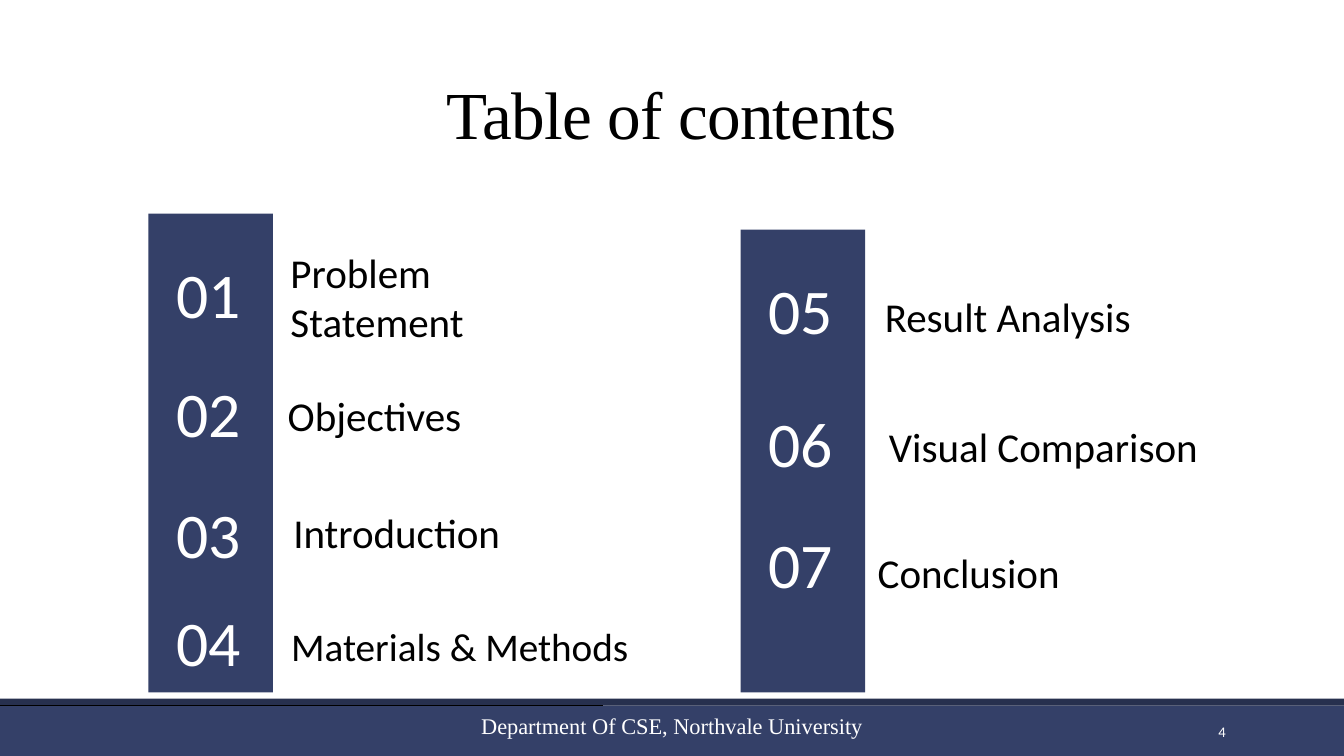
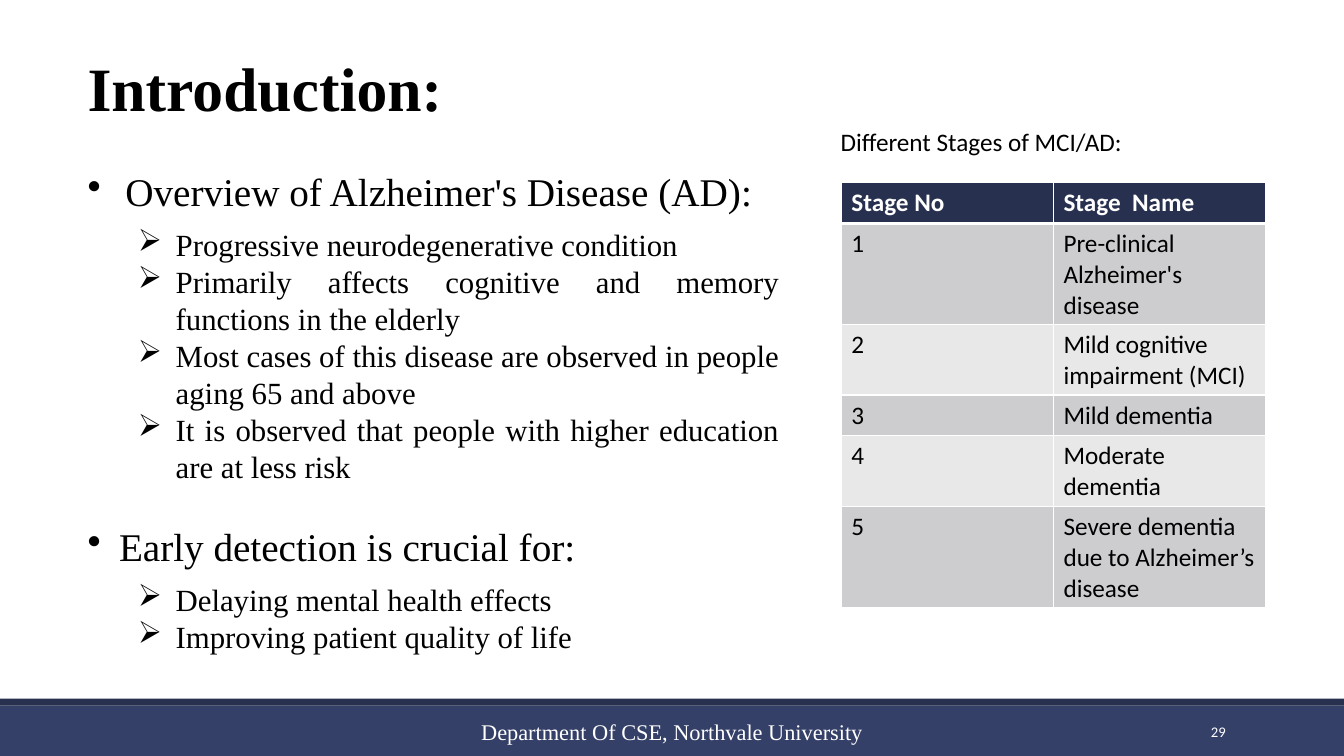
from pptx import Presentation
from pptx.dml.color import RGBColor
from pptx.enum import shapes, text
from pptx.oxml.ns import qn
from pptx.util import Pt
from lxml import etree

HUES = {"navy": "344068", "dark": "27304E", "black": "000000",
        "white": "FFFFFF", "odd": "CDCDD0", "even": "E8E8E9"}
SANS, SERIF = "Calibri", "Times New Roman"
WIDE, HIGH = 960, 540
FOOT = "Department Of CSE, Northvale University"
LEFT, MID, RIGHT, JUST = (text.PP_ALIGN.LEFT, text.PP_ALIGN.CENTER,
                          text.PP_ALIGN.RIGHT, text.PP_ALIGN.JUSTIFY)
TOP, CENTRE, BASE = (text.MSO_ANCHOR.TOP, text.MSO_ANCHOR.MIDDLE,
                     text.MSO_ANCHOR.BOTTOM)

# Number height, label, label left, label bottom, label width, label size.
FIRST = [("01", 60.5, "Problem Statement", 101.5, 94.5, 214, 29.3),
         ("02", 145.5, "Objectives", 99.5, 161.5, 260, 29.3),
         ("03", 232, "Introduction", 103.5, 245.5, 260, 29.3),
         ("04", 309, "Materials & Methods", 102, 325.5, 290, 28)]
SECOND = [("05", 60.5, "Result Analysis", 103, 79.5, 260, 29.3),
          ("06", 155.5, "Visual Comparison", 106, 172, 260, 29.3),
          ("07", 241.5, "Conclusion", 98, 262, 260, 29.3)]
POINTS = [("Overview of Alzheimer's Disease (AD):", 27,
           ["Progressive neurodegenerative condition",
            "Primarily affects cognitive and memory functions in the elderly",
            "Most cases of this disease are observed in people aging 65 and above",
            "It is observed that people with higher education are at less risk"]),
          ("Early detection is crucial for:", 22.5,
           ["Delaying mental health effects",
            "Improving patient quality of life"])]
STAGES = ["Pre-clinical Alzheimer's disease", "Mild cognitive impairment (MCI)",
          "Mild dementia", "Moderate dementia",
          "Severe dementia due to Alzheimer’s disease"]


def hue(name):
    """Return the named colour."""
    return RGBColor.from_string(HUES[name])


def style(para, size, font, color, bold=False):
    """Format all runs of a paragraph."""
    for run in para.runs:
        run.font.size, run.font.name, run.font.bold = Pt(size), font, bold
        run.font.color.rgb = hue(color)


def frame(slide, box, anchor=TOP):
    """Add an empty wrapping text box without margins."""
    area = slide.shapes.add_textbox(*map(Pt, box)).text_frame
    area.word_wrap, area.vertical_anchor = True, anchor
    area.margin_left = area.margin_right = Pt(0)
    area.margin_top = area.margin_bottom = Pt(0)
    return area


def write(slide, box, words, size, font=SANS, color="black",
          align=LEFT, anchor=TOP, bold=False):
    """Add one paragraph of text and return it."""
    para = frame(slide, box, anchor).paragraphs[0]
    para.text, para.alignment = words, align
    style(para, size, font, color, bold)
    return para


def tight(para):
    """Draw lines and letters of a heading closer together."""
    para.line_spacing = 0.9
    for run in para.runs:
        run.font._element.set("spc", "-50")


def block(slide, box, color):
    """Add a plain filled rectangle."""
    rect = slide.shapes.add_shape(shapes.MSO_SHAPE.RECTANGLE, *map(Pt, box))
    rect.shadow.inherit = False
    rect.fill.solid()
    rect.fill.fore_color.rgb = hue(color)
    rect.line.fill.background()


def page(deck):
    """Add a blank slide with the shared bands."""
    slide = deck.slides.add_slide(deck.slide_layouts[6])
    block(slide, (0, 504, WIDE, 36), "navy")
    block(slide, (0, 499, WIDE, 5), "dark")
    return slide


def footer(slide, number, top):
    """Write the department and page number on the band."""
    write(slide, (290, top, 380, 29), FOOT, 16, SERIF, "white", MID, CENTRE)
    write(slide, (780, 508, 95.5, 29), number, 10.5, SANS, "white",
          RIGHT, CENTRE)


def column(slide, box, rows):
    """Draw a bar with its numbers and the labels beside it."""
    left, top, width, _ = box
    block(slide, box, "navy")
    for number, mid, label, shift, base, span, size in rows:
        tight(write(slide, (left - 1.5, top + mid - 30, width, 60), number,
                    45.4, SANS, "white", MID, CENTRE))
        write(slide, (left + shift, top + base - 72, span, 72), label, size,
              anchor=BASE)


def rule(slide, left, top, width):
    """Draw a thin black line along the band."""
    line = slide.shapes.add_connector(
        shapes.MSO_CONNECTOR.STRAIGHT, Pt(left), Pt(top),
        Pt(left + width), Pt(top))
    line.line.color.rgb, line.line.width = hue("black"), Pt(0.75)
    etree.SubElement(line._element.spPr, qn("a:effectLst"))


def bullet(para, sign, left, hang):
    """Give a paragraph a bullet and a hanging indent."""
    props = para._p.get_or_add_pPr()
    props.set("marL", str(Pt(left)))
    props.set("indent", str(-Pt(hang)))
    etree.SubElement(props, qn("a:buChar")).set("char", sign)


def outline(slide, box, groups):
    """Write headed groups of bulleted points."""
    area = frame(slide, box)
    fresh = True
    for head, hang, items in groups:
        rows = [(head, 28, "•", hang, hang, 0 if fresh else 27.5)]
        rows += [(item, 22, "➢", 63, 27, 0 if n else 8)
                 for n, item in enumerate(items)]
        for words, size, sign, left, back, gap in rows:
            para = area.paragraphs[0] if fresh else area.add_paragraph()
            fresh = False
            para.text, para.alignment = words, JUST
            para.space_before = Pt(gap)
            style(para, size, SERIF, "black")
            bullet(para, sign, left, back)


def edge(cell, side, width):
    """Draw one white cell border."""
    line = etree.SubElement(cell._tc.get_or_add_tcPr(), qn("a:" + side))
    line.set("w", str(Pt(width)))
    fill = etree.SubElement(line, qn("a:solidFill"))
    etree.SubElement(fill, qn("a:srgbClr")).set("val", HUES["white"])


def grid(slide, box, rows):
    """Add the table with a dark head and banded rows."""
    table = slide.shapes.add_table(len(rows), 2, *map(Pt, box)).table
    for col in table.columns:
        col.width = Pt(box[2] / 2)
    for r, row in enumerate(rows):
        table.rows[r].height = Pt(box[3] / len(rows))
        for c, words in enumerate(row):
            cell = table.cell(r, c)
            for side, width in (("lnL", 1), ("lnR", 1),
                                ("lnT", 3 if r == 1 else 1),
                                ("lnB", 1 if r else 3)):
                edge(cell, side, width)
            cell.fill.solid()
            cell.fill.fore_color.rgb = hue(
                "dark" if r == 0 else "odd" if r % 2 else "even")
            cell.text = words
            style(cell.text_frame.paragraphs[0], 18, SANS,
                  "black" if r else "white", r == 0)


def contents(deck):
    """Build the table of contents."""
    slide = page(deck)
    rule(slide, 0, 504, 431)
    tight(write(slide, (210, 58.5, 540, 48), "Table of contents", 48, SERIF,
                align=MID))
    column(slide, (106, 152.5, 89, 342), FIRST)
    column(slide, (529, 164, 89, 330.5), SECOND)
    footer(slide, "4", 504)


def intro(deck):
    """Build the introduction with its table of stages."""
    slide = page(deck)
    write(slide, (62.5, 36, 550, 53), "Introduction:", 44, SERIF, bold=True)
    outline(slide, (62.5, 119.5, 494, 354), POINTS)
    write(slide, (600.5, 90.5, 220, 22), "Different Stages of MCI/AD:", 18)
    rows = [("Stage No", "Stage  Name")]
    rows += [(str(n), name) for n, name in enumerate(STAGES, 1)]
    grid(slide, (601, 130.5, 303, 175.2), rows)
    footer(slide, "29", 508)


def main():
    """Build and save the deck."""
    deck = Presentation()
    deck.slide_width, deck.slide_height = Pt(WIDE), Pt(HIGH)
    contents(deck)
    intro(deck)
    deck.save("out.pptx")


if __name__ == "__main__":
    main()
